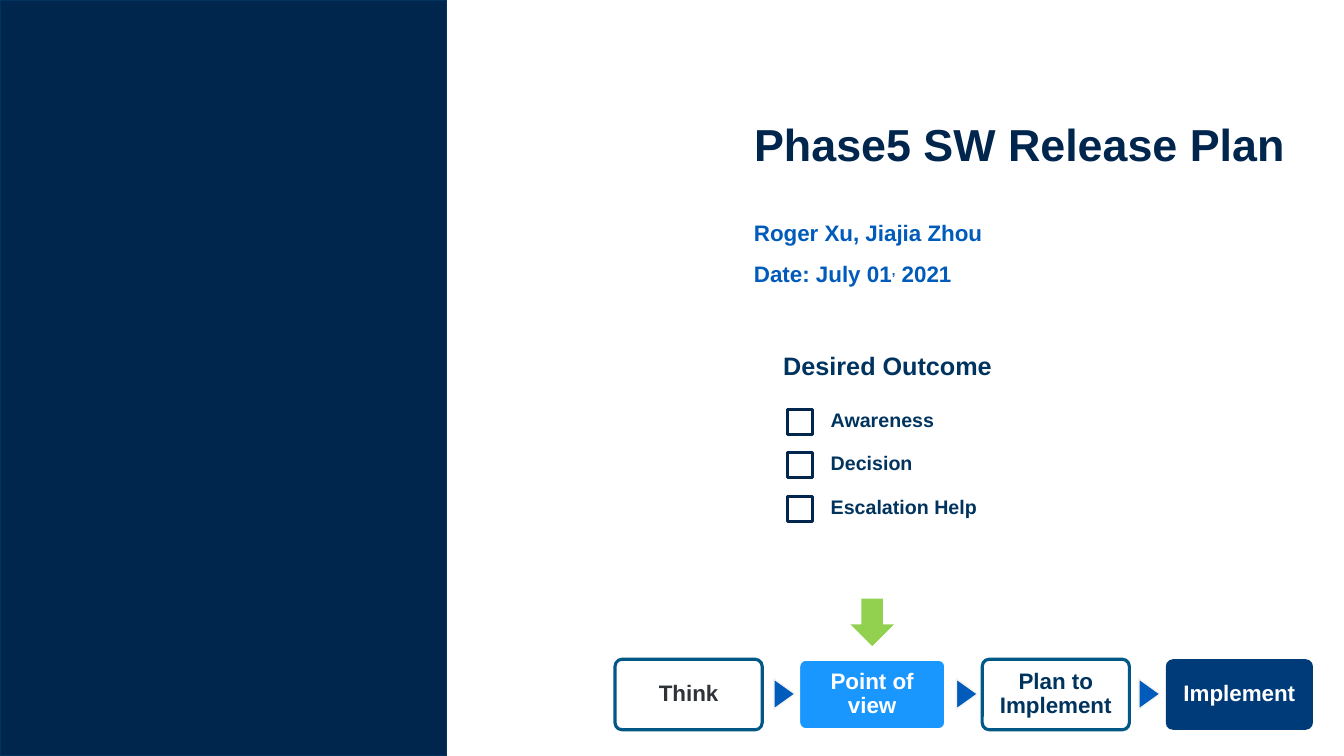
from pptx import Presentation
from pptx.dml.color import RGBColor
from pptx.enum.shapes import MSO_SHAPE as SHAPE
from pptx.enum.text import MSO_ANCHOR as ANCHOR, PP_ALIGN as ALIGN
from pptx.util import Inches, Pt

NAVY, INK, BLUE, TEAL, WHITE = "00264E", "00345E", "005BBA", "015886", "FFFFFF"
TITLE_ONLY = 5

prs = Presentation()
prs.slide_width, prs.slide_height = Inches(13.33), Inches(7.5)


def color(value):
    return RGBColor.from_string(value)


def place(x, y, w, h):
    """Turn percentages of the slide's width and height into lengths."""
    return [int(share * side / 100) for share, side in
            zip((x, y, w, h), (prs.slide_width, prs.slide_height) * 2)]


def style(p, size, ink, align=ALIGN.LEFT):
    p.alignment = align
    p.font.name, p.font.size, p.font.bold = "Arial", Pt(size), True
    p.font.color.rgb = color(ink)


def add_shape(slide, kind, box, fill=None, line=None, width=2.25):
    sp = slide.shapes.add_shape(kind, *place(*box))
    sp.shadow.inherit = False
    if fill:
        sp.fill.solid()
        sp.fill.fore_color.rgb = color(fill)
    else:
        sp.fill.background()
    if line:
        sp.line.color.rgb = color(line)
        sp.line.width = Pt(width)
    else:
        sp.line.fill.background()
    return sp


def add_label(slide, box, text, size, ink):
    tf = slide.shapes.add_textbox(*place(*box)).text_frame
    tf.word_wrap = True
    tf.vertical_anchor = ANCHOR.MIDDLE
    p = tf.paragraphs[0]
    p.text = text
    style(p, size, ink)
    return p


def add_heading(slide, x, y):
    title = slide.shapes.title
    title.left, title.top, title.width, title.height = place(x, y, 48.39, 15.73)
    tf = title.text_frame
    tf.text = "Phase5 SW Release Plan"
    tf.vertical_anchor = ANCHOR.MIDDLE
    style(tf.paragraphs[0], 32, NAVY)

    add_label(slide, (x, y + 15.46, 31.43, 8.53), "Roger Xu, Jiajia Zhou", 16, BLUE)
    date = add_label(slide, (x, y + 20.8, 27.76, 8.53), "Date: July 01", 16, BLUE)
    comma = date.add_run()
    comma.text = ","
    comma._r.get_or_add_rPr().set("baseline", "30000")
    date.add_run().text = " 2021"


def add_outcomes(slide, x, y, outcomes):
    add_label(slide, (x, y, 25.66, 8.53), "Desired Outcome", 18, INK)
    for i, outcome in enumerate(outcomes):
        top = y + 10 + i * 5.75
        add_shape(slide, SHAPE.RECTANGLE, (x + 1.05, top, 1.88, 3.33), line=NAVY)
        add_label(slide, (x + 3.53, top - 2.9, 16, 8.53), outcome, 14, INK)


def add_process(slide, x, y, steps, current):
    """Draw the chain of steps, with an arrow above the current one."""
    w, h, pitch = 10.95, 9.33, 13.66
    for i, (text, fill, line, ink) in enumerate(steps):
        left = x + i * pitch
        sp = add_shape(slide, SHAPE.ROUNDED_RECTANGLE, (left, y, w, h), fill, line)
        sp.adjustments[0] = 0.1
        tf = sp.text_frame
        tf.word_wrap = True
        tf.vertical_anchor = ANCHOR.MIDDLE
        tf.margin_left = tf.margin_right = Inches(0.09)
        tf.margin_top = tf.margin_bottom = Inches(0.09)
        p = tf.paragraphs[0]
        p.text = text
        p.line_spacing = 0.9
        style(p, 16, ink, ALIGN.CENTER)
        if i < len(steps) - 1:
            pointer = add_shape(slide, SHAPE.ISOSCELES_TRIANGLE,
                                (x + 11.48 + i * 13.58, y + 3.2, 2.25, 2.8),
                                BLUE, "F2F2F2", 1)
            pointer.rotation = 90
    arrow_w = 3.23
    add_shape(slide, SHAPE.DOWN_ARROW,
              (x + current * pitch + (w - arrow_w) / 2, y - 8, arrow_w, 6.27), "92D050")


def main():
    slide = prs.slides.add_slide(prs.slide_layouts[TITLE_ONLY])
    add_shape(slide, SHAPE.RECTANGLE, (0, 0, 33.23, 100), NAVY, "00335D", 1)
    add_heading(slide, 55.36, 11.07)
    add_outcomes(slide, 57.54, 44.13, ["Awareness", "Decision", "Escalation Help"])
    add_process(slide, 45.76, 87.2, [
        ("Think", None, TEAL, "2F3338"),
        ("Point of view", "1997FF", WHITE, WHITE),
        ("Plan to Implement", None, TEAL, INK),
        ("Implement", "003B79", None, WHITE),
    ], current=1)
    prs.save("out.pptx")


if __name__ == "__main__":
    main()
